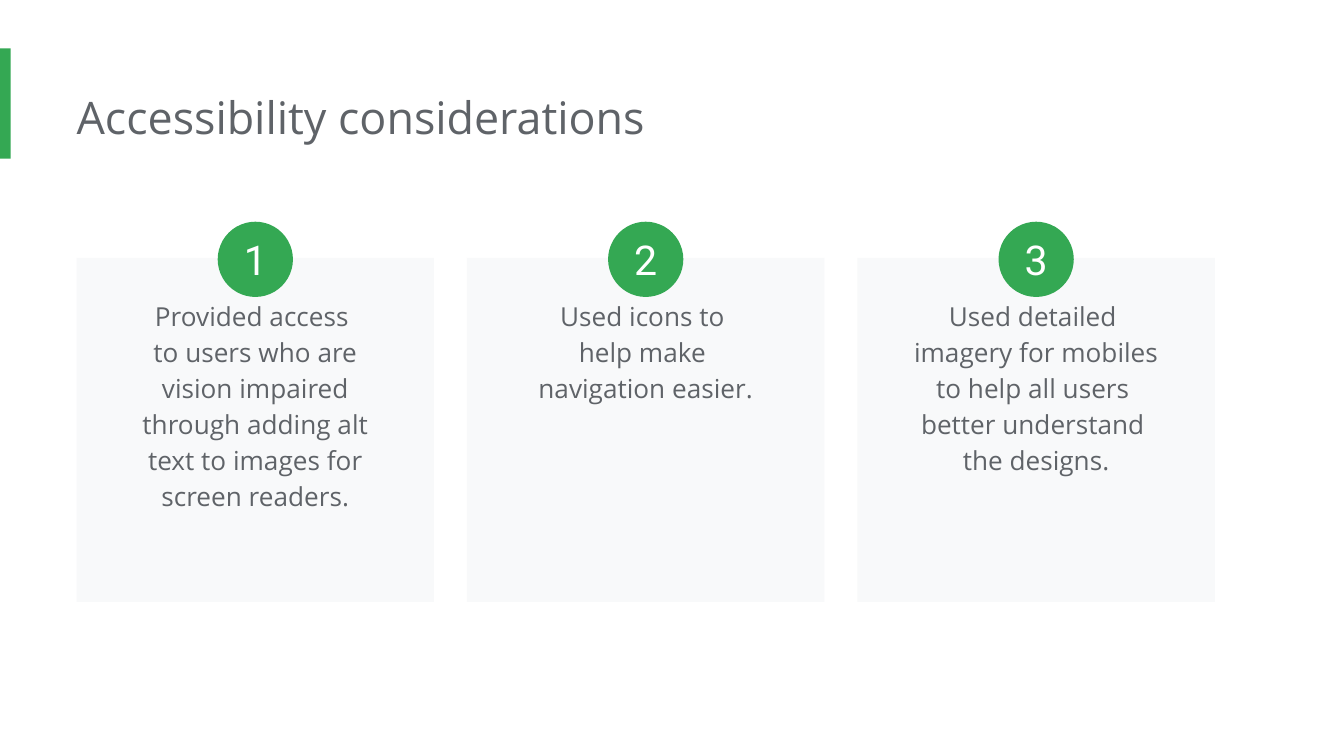
from pptx import Presentation
from pptx.dml.color import RGBColor
from pptx.enum import shapes, text
from pptx.util import Inches, Pt

GREEN = RGBColor(0x34, 0xA8, 0x53)
GREY = RGBColor(0x5F, 0x63, 0x68)
PALE = RGBColor(0xF8, 0xF9, 0xFA)
WHITE = RGBColor(0xFF, 0xFF, 0xFF)

CONSIDERATIONS = [
    ["Provided access ",
     "to users who are vision impaired through adding alt text to images for screen readers."],
    ["Used icons to ", "help make ", "navigation easier."],
    ["Used detailed ", "imagery for mobiles to help all users ",
     "better understand ", "the designs."],
]
LEFT, RIGHT_CARD = 0.57, 6.38
CARD_WIDTH, TEXT_WIDTH, BADGE_SIZE = 2.66, 2.24, 0.56


def add_plain_shape(kind, left, top, width, height, color):
    shape = page.shapes.add_shape(
        kind, Inches(left), Inches(top), Inches(width), Inches(height))
    shape.shadow.inherit = False
    shape.fill.solid()
    shape.fill.fore_color.rgb = color
    shape.line.fill.background()
    return shape


def add_span(para, words, size, font, color):
    span = para.add_run()
    span.text = words
    span.font.size = Pt(size)
    span.font.name = font
    span.font.color.rgb = color


# Widescreen 16:9 page
deck = Presentation()
deck.slide_width, deck.slide_height = Inches(10), Inches(10 * 9 / 16)
page = deck.slides.add_slide(deck.slide_layouts[5])

# Accent bar and title
add_plain_shape(shapes.MSO_SHAPE.RECTANGLE, 0, 0.36, 0.08, 0.82, GREEN)
title = page.shapes.title
title.left, title.top = Inches(LEFT), Inches(0.57)
title.width, title.height = Inches(7.66), Inches(0.61)
frame = title.text_frame
frame.auto_size = text.MSO_AUTO_SIZE.NONE
frame.vertical_anchor = text.MSO_ANCHOR.TOP
frame.margin_left = 0
frame.margin_top = frame.margin_right = frame.margin_bottom = Inches(0.1)
para = frame.paragraphs[0]
para.alignment = text.PP_ALIGN.LEFT
add_span(para, "Accessibility considerations", 24, "Open Sans", GREY)

# Numbered cards, evenly spaced
step = (RIGHT_CARD - LEFT) / (len(CONSIDERATIONS) - 1)
for index, lines in enumerate(CONSIDERATIONS):
    left = LEFT + index * step
    center = left + CARD_WIDTH / 2
    add_plain_shape(shapes.MSO_SHAPE.RECTANGLE, left, 1.92, CARD_WIDTH, 2.56, PALE)

    # Description, in a box as tall as its text
    box = page.shapes.add_textbox(
        Inches(center - TEXT_WIDTH / 2), Inches(2.1), Inches(TEXT_WIDTH), Inches(1.79))
    frame = box.text_frame
    frame.word_wrap = True
    frame.auto_size = text.MSO_AUTO_SIZE.SHAPE_TO_FIT_TEXT
    frame.margin_left = frame.margin_right = Inches(0.1)
    frame.margin_top = frame.margin_bottom = Inches(0.1)
    para = frame.paragraphs[0]
    para.alignment = text.PP_ALIGN.CENTER
    para.line_spacing = 1.15
    for number, line in enumerate(lines):
        if number:
            para.add_line_break()
        add_span(para, line, 14, "Open Sans", GREY)

    # Number badge
    badge = add_plain_shape(shapes.MSO_SHAPE.OVAL, center - BADGE_SIZE / 2, 1.65,
                            BADGE_SIZE, BADGE_SIZE, GREEN)
    frame = badge.text_frame
    frame.margin_left = frame.margin_right = 0
    frame.margin_top = frame.margin_bottom = 0
    frame.vertical_anchor = text.MSO_ANCHOR.MIDDLE
    para = frame.paragraphs[0]
    para.alignment = text.PP_ALIGN.CENTER
    add_span(para, str(index + 1), 22, "Roboto", WHITE)

deck.save("out.pptx")
